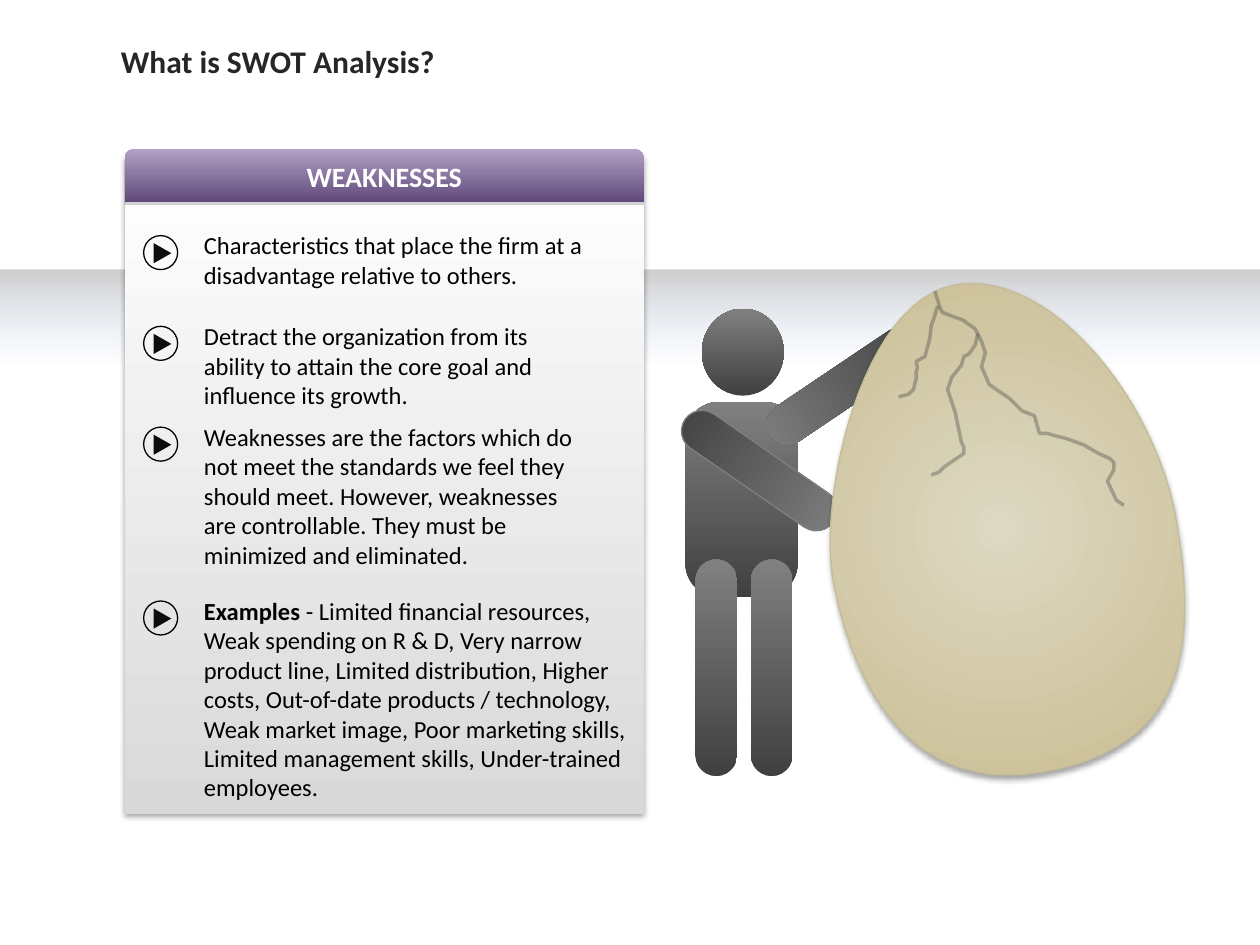
"""Build the SWOT weaknesses slide with a bulleted card, a figure and a cracked egg."""
import math

from pptx import Presentation
from pptx import util as u
from pptx.dml.color import RGBColor
from pptx.enum import shapes, text
from pptx.oxml import parse_xml
from pptx.oxml.ns import nsdecls, qn

KIND = shapes.MSO_SHAPE
TITLE = "What is SWOT Analysis?"
HEADING = "WEAKNESSES"
POINTS = [
    (1.78, 3.6, 0.57, [("Characteristics that place the firm at a disadvantage relative to others.", False)]),
    (2.5, 3.25, 0.81, [("Detract the organization from its ability to attain the core goal and "
                        "influence its growth.", False)]),
    (3.3, 3.25, 1.28, [("Weaknesses are the factors which do not meet the standards we feel they "
                        "should meet. However, weaknesses are controllable. They must be "
                        "minimized and eliminated.", False)]),
    (4.68, 3.6, 1.75, [("Examples", True),
                       (" - Limited financial resources, Weak spending on R & D, Very narrow "
                        "product line, Limited distribution, Higher costs, Out-of-date products / "
                        "technology, Weak market image, Poor marketing skills, Limited management "
                        "skills, Under-trained employees.", False)]),
]
FIGURE = [
    (KIND.OVAL, (5.57, 2.45, 0.65, 0.69), 0, None, None),
    (KIND.ROUNDED_RECTANGLE, (5.44, 3.19, 0.89, 1.55), 0, 0.3, None),
    (KIND.ROUNDED_RECTANGLE, (5.52, 4.44, 0.33, 1.72), 0, 0.5, None),
    (KIND.ROUNDED_RECTANGLE, (5.96, 4.44, 0.33, 1.72), 0, 0.5, None),
    (KIND.ROUNDED_RECTANGLE, (5.86, 3.02, 0.33, 1.43), 124.7, 0.5, "808080"),
    (KIND.ROUNDED_RECTANGLE, (6.53, 2.36, 0.33, 1.41), 236, 0.5, None),
]
TILT = -9.3
EGG_CENTRE = (7.95, 4.19)
EGG_START = (6.61, 4.59)
EGG_CURVES = [
    ((6.5, 3.95), (6.83, 2.39), (7.59, 2.26)),
    ((8.34, 2.14), (9.18, 3.18), (9.34, 4.15)),
    ((9.5, 5.12), (9.42, 5.94), (8.26, 6.13)),
    ((7.11, 6.32), (6.73, 5.24), EGG_START),
]
CRACKS = [
    ((8.17, 3.16), [
        (7.42, 2.31), (7.46, 2.44), (7.48, 2.48), (7.53, 2.5), (7.64, 2.54), (7.74, 2.61),
        (7.79, 2.71), (7.82, 2.8), (7.79, 2.91), (7.85, 3.05), (7.92, 3.1), (8.01, 3.16),
        (8.07, 3.22), (8.11, 3.26), (8.21, 3.3), (8.25, 3.44), (8.31, 3.44), (8.38, 3.46),
        (8.46, 3.48), (8.6, 3.53), (8.72, 3.6), (8.81, 3.64), (8.84, 3.67), (8.84, 3.73),
        (8.79, 3.82), (8.86, 3.97), (8.92, 4.01)]),
    ((7.29, 2.8), [
        (7.44, 2.43), (7.41, 2.53), (7.39, 2.58), (7.38, 2.67), (7.37, 2.72), (7.35, 2.79),
        (7.34, 2.83), (7.27, 2.87), (7.28, 2.92), (7.27, 2.95), (7.27, 3.01), (7.26, 3.04),
        (7.25, 3.09), (7.23, 3.11), (7.21, 3.13), (7.13, 3.15)]),
    ((7.58, 3.21), [
        (7.76, 2.65), (7.74, 2.74), (7.69, 2.81), (7.65, 2.83), (7.63, 2.9), (7.55, 3),
        (7.54, 3.04), (7.52, 3.09), (7.58, 3.27), (7.63, 3.51), (7.65, 3.55), (7.65, 3.6),
        (7.56, 3.66), (7.49, 3.71), (7.45, 3.75), (7.39, 3.77)]),
]


def length(inches):
    """Turn inches into a length."""
    return u.Cm(inches * 2.54)


def colour(value):
    """Turn a hex string into a colour."""
    return RGBColor.from_string(value)


def colour_xml(value, alpha=100):
    """Give the XML of a colour with an opacity in percent."""
    return f'<a:srgbClr val="{value}"><a:alpha val="{alpha * 1000}"/></a:srgbClr>'


def paint(shape, stops, angle=270):
    """Fill a shape with a gradient, circular when the angle is None."""
    shape.fill.gradient()
    old = shape._element.spPr.find(qn("a:gradFill"))
    marks = "".join(f'<a:gs pos="{stop[0] * 1000}">{colour_xml(*stop[1:])}</a:gs>' for stop in stops)
    course = (f'<a:lin ang="{angle * 60000}" scaled="0"/>' if angle is not None else
              '<a:path path="circle"><a:fillToRect l="50000" t="50000" r="50000" b="50000"/></a:path>')
    old.getparent().replace(old, parse_xml(
        f'<a:gradFill {nsdecls("a")} rotWithShape="1"><a:gsLst>{marks}</a:gsLst>{course}</a:gradFill>'))


def outline(shape, value=None, width=0.75):
    """Clear the theme shadow and set or hide the outline."""
    shape.shadow.inherit = False
    if value is None:
        shape.line.fill.background()
    else:
        shape.line.color.rgb = colour(value)
        shape.line.width = u.Pt(width)


def cast_shadow(shape, value="000000", blur=3.1):
    """Drop a soft shadow below a shape."""
    shape._element.spPr.find(qn("a:effectLst")).append(parse_xml(
        f'<a:outerShdw {nsdecls("a")} blurRad="{u.Pt(blur)}" dist="{u.Pt(1.8)}" dir="5400000" '
        f'algn="t" rotWithShape="0">{colour_xml(value, 35)}</a:outerShdw>'))


def add_preset(parent, kind, place, line=None, rotation=0):
    """Add a preset shape with its outline."""
    shape = parent.add_shape(kind, *map(length, place))
    shape.rotation = rotation
    outline(shape, line)
    return shape


def add_tilted(parent, points, centre, closed):
    """Add a rotated freeform whose outline shows at the given points."""
    turn = math.radians(-TILT)
    cos, sin = math.cos(turn), math.sin(turn)
    upright = []
    for x, y in points:
        dx, dy = x - centre[0], y - centre[1]
        upright.append((length(centre[0] + dx * cos - dy * sin), length(centre[1] + dx * sin + dy * cos)))
    builder = parent.build_freeform(*upright[0], scale=1.0)
    builder.add_line_segments(upright[1:], close=closed)
    shape = builder.convert_to_shape()
    shape.rotation = TILT
    return shape


def curve_points(start, curves, steps=24):
    """Sample a chain of cubic curves."""
    points = [start]
    for a, b, c in curves:
        for step in range(1, steps + 1):
            t = step / steps
            weights = ((1 - t) ** 3, 3 * t * (1 - t) ** 2, 3 * t * t * (1 - t), t ** 3)
            points.append(tuple(sum(w * p[axis] for w, p in zip(weights, (start, a, b, c)))
                                for axis in (0, 1)))
        start = c
    return points


def write(box, spans, size, value, align=text.PP_ALIGN.LEFT, anchor=text.MSO_ANCHOR.TOP):
    """Write one paragraph of plain and bold spans."""
    frame = box.text_frame
    for name, setting in {"word_wrap": True, "vertical_anchor": anchor}.items():
        setattr(frame, name, setting)
    para = frame.paragraphs[0]
    para.alignment = align
    for words, bold in spans:
        span = para.add_run()
        span.text = words
        for name, setting in {"name": "Calibri", "size": u.Pt(size), "bold": bold}.items():
            setattr(span.font, name, setting)
        span.font.color.rgb = colour(value)


def draw_scene(page):
    """Draw the band, the figure and the cracked egg."""
    band = add_preset(page.shapes, KIND.RECTANGLE, (0, 2.14, 10, 1.32))
    paint(band, [(0, "3F80CE", 0), (43, "3F80CE", 0), (100, "0D0D0D", 20)])
    figure = page.shapes.add_group_shape().shapes
    for kind, place, rotation, rounding, line in FIGURE:
        part = add_preset(figure, kind, place, line, rotation)
        if rounding:
            part.adjustments[0] = rounding
        paint(part, [(0, "404040"), (100, "808080")])
    egg = add_tilted(page.shapes, curve_points(EGG_START, EGG_CURVES), EGG_CENTRE, True)
    outline(egg, "C4BD97")
    paint(egg, [(0, "DDD9C3"), (100, "C7B98B")], None)
    cast_shadow(egg)
    cracks = page.shapes.add_group_shape().shapes
    for centre, points in CRACKS:
        crack = add_tilted(cracks, points, centre, False)
        crack.fill.background()
        outline(crack, "404040", 2)
        tint = crack.line._ln.find(".//" + qn("a:srgbClr"))
        tint.append(parse_xml(f'<a:alpha {nsdecls("a")} val="34000"/>'))


def draw_card(page):
    """Draw the card with its heading, points and markers."""
    card = add_preset(page.shapes, KIND.RECTANGLE, (0.99, 1.24, 4.12, 5.22))
    paint(card, [(0, "D9D9D9"), (100, "FFFFFF")])
    cast_shadow(card)
    header = add_preset(page.shapes, KIND.ROUND_2_SAME_RECTANGLE, (0.99, 1.18, 4.12, 0.42))
    header.adjustments[0] = 0.17
    paint(header, [(0, "B3A2C7"), (100, "604A7B")], 90)
    cast_shadow(header, "808080", 0)
    write(header, [(HEADING, True)], 16, "FFFFFF", text.PP_ALIGN.CENTER, text.MSO_ANCHOR.MIDDLE)
    for top, width, height, spans in POINTS:
        box = page.shapes.add_textbox(*map(length, (1.52, top, width, height)))
        write(box, spans, 14, "000000")
        box.text_frame.auto_size = text.MSO_AUTO_SIZE.SHAPE_TO_FIT_TEXT
        marker = page.shapes.add_group_shape().shapes
        add_preset(marker, KIND.OVAL, (1.14, top + 0.09, 0.27, 0.27), "000000").fill.background()
        arrow = add_preset(marker, KIND.ISOSCELES_TRIANGLE, (1.21, top + 0.16, 0.16, 0.14), rotation=90)
        arrow.fill.solid()
        arrow.fill.fore_color.rgb = colour("0D0D0D")


def main():
    """Build and save the deck."""
    deck = Presentation()
    deck.slide_width, deck.slide_height = length(10), length(7.5)
    page = deck.slides.add_slide(deck.slide_layouts[5])
    title = page.shapes.title
    for name, inches in {"left": 0.86, "top": 0.28, "width": 5.82, "height": 0.51}.items():
        setattr(title, name, length(inches))
    write(title, [(TITLE, True)], 18, "262626")
    draw_scene(page)
    draw_card(page)
    deck.save("out.pptx")


if __name__ == "__main__":
    main()
